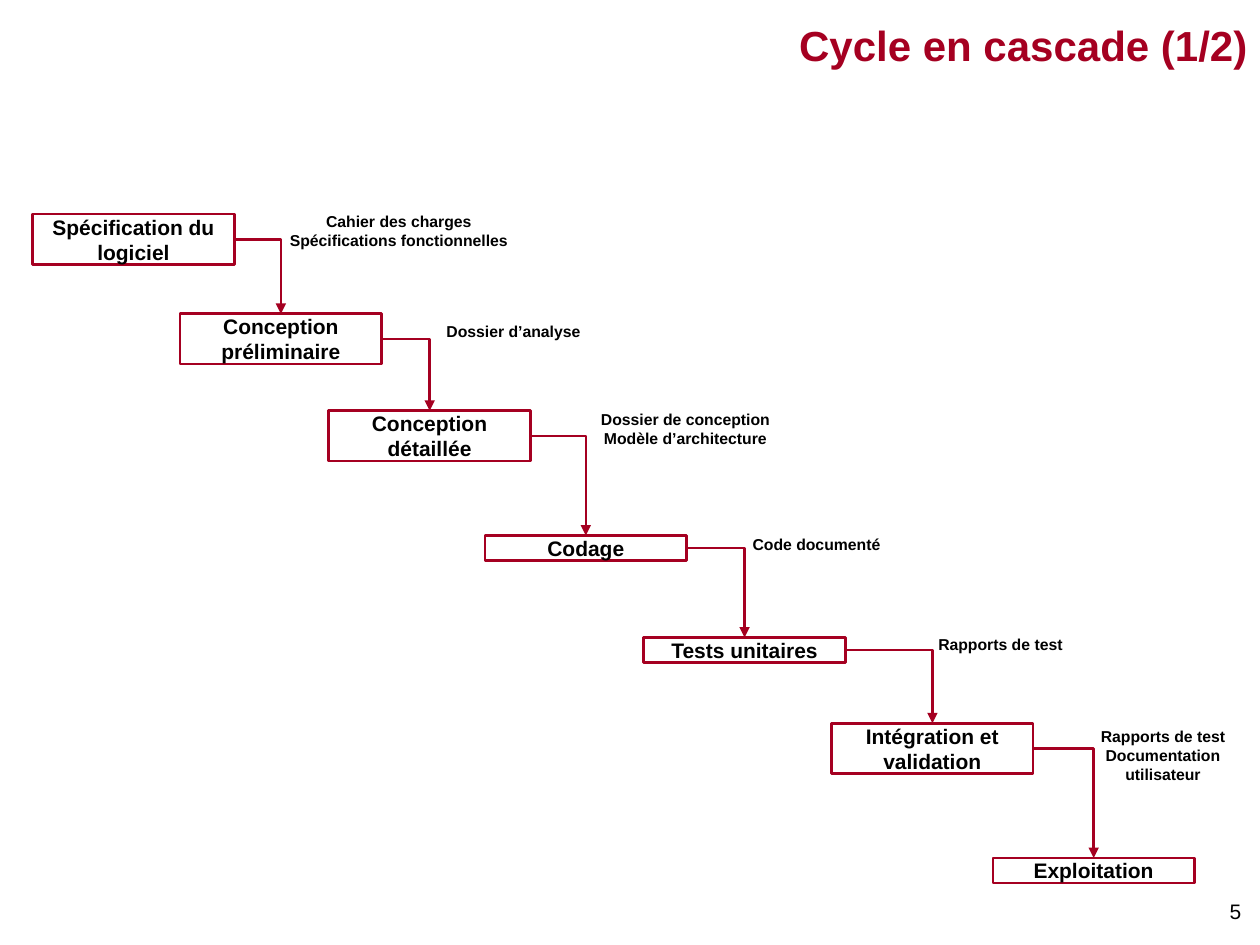
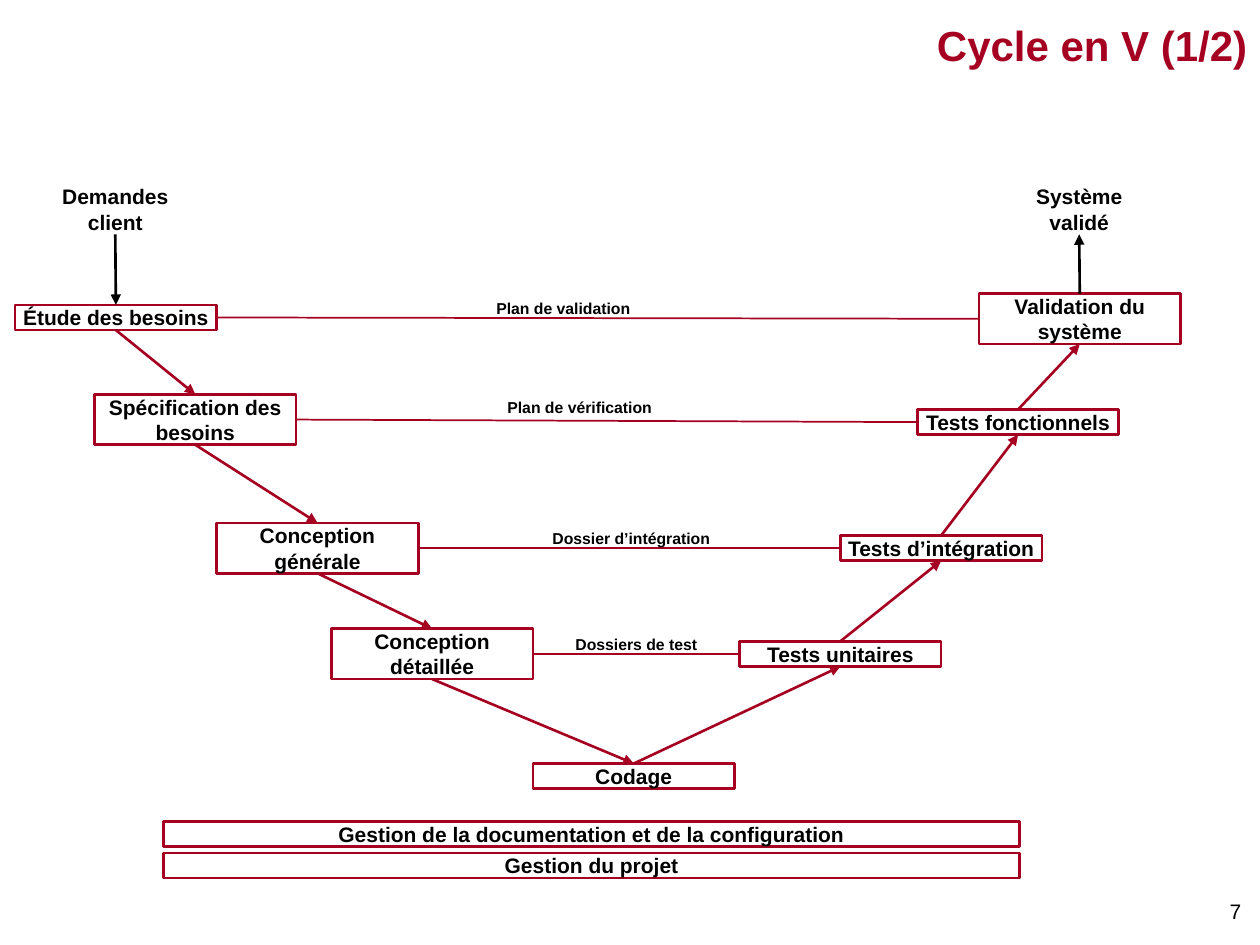
from dataclasses import dataclass
from itertools import pairwise

from lxml.etree import SubElement
from pptx import Presentation
from pptx.dml.color import RGBColor
from pptx.enum.shapes import MSO_CONNECTOR as CXN, MSO_SHAPE as SHAPE
from pptx.enum.text import MSO_ANCHOR as ANCHOR, MSO_AUTO_SIZE as AUTO, PP_ALIGN as ALIGN
from pptx.oxml.ns import qn
from pptx.util import Emu, Pt

PX = 9144
TOP, LEFT, BOTTOM, RIGHT = range(4)


@dataclass(frozen=True)
class Theme:
    font: str = "Arial"
    accent: RGBColor = RGBColor(0xA5, 0x00, 0x21)
    ink: RGBColor = RGBColor(0, 0, 0)
    title: int = 24
    body: int = 12
    label: int = 9
    heavy: float = 1.5
    thin: float = 1


@dataclass(frozen=True)
class Box:
    text: str
    x: int
    y: int
    lines: int = 1
    w: int = 160

    @property
    def h(self) -> int:
        return 20 * self.lines


@dataclass(frozen=True)
class Label:
    text: str
    x: int
    y: int
    w: int = 156

    @property
    def h(self) -> int:
        return 15 * len(self.text.split("\n"))


THEME = Theme()

CASCADE = [
    Box("Spécification du logiciel", 26, 170, 2),
    Box("Conception préliminaire", 143, 249, 2),
    Box("Conception détaillée", 261, 326, 2),
    Box("Codage", 385, 425),
    Box("Tests unitaires", 511, 506),
    Box("Intégration et validation", 660, 574, 2),
    Box("Exploitation", 788, 681),
]
DELIVERABLES = [
    Label("Cahier des charges\nSpécifications fonctionnelles", 213, 168, 207),
    Label("Dossier d’analyse", 304, 255, 207),
    Label("Dossier de conception\nModèle d’architecture", 441, 325, 206),
    Label("Code documenté", 570, 424),
    Label("Rapports de test", 716, 504),
    Label("Rapports de test\nDocumentation\nutilisateur", 845, 577),
]

DESCENT = [
    Box("Étude des besoins", 12, 242),
    Box("Spécification des besoins", 75, 313, 2),
    Box("Conception générale", 172, 415, 2),
    Box("Conception détaillée", 263, 499, 2),
]
CODING = Box("Codage", 423, 606)
ASCENT = [
    Box("Tests unitaires", 587, 509),
    Box("Tests d’intégration", 667, 425),
    Box("Tests fonctionnels", 728, 325),
    Box("Validation du système", 777, 233, 2),
]
PLANS = [
    Label("Plan de validation", 369, 237),
    Label("Plan de vérification", 382, 316),
    Label("Dossier d’intégration", 423, 420),
    Label("Dossiers de test", 427, 504),
]
CLIENT_REQUEST = Box("Demandes client", 32, 146, 2, 119)
VALIDATED_SYSTEM = Box("Système validé", 797, 146, 2, 119)
SUPPORT = [
    Box("Gestion de la documentation et de la configuration", 130, 652, w=679),
    Box("Gestion du projet", 130, 677, w=679),
]


def px(*values: int) -> list[Emu]:
    return [Emu(v * PX) for v in values]


def apply(target, formats: dict) -> None:
    for name, value in formats.items():
        setattr(target, name, value)


def write(s, text: str, size: int, color=THEME.ink, bold=True,
          align=ALIGN.CENTER, margins=(0, 0)) -> None:
    tf = s.text_frame
    tf.text = text
    mx, my = px(*margins)
    apply(tf, {"word_wrap": True, "auto_size": AUTO.NONE,
               "vertical_anchor": ANCHOR.MIDDLE,
               "margin_left": mx, "margin_right": mx,
               "margin_top": my, "margin_bottom": my})
    for p in tf.paragraphs:
        p.alignment = align
        for r in p.runs:
            apply(r.font, {"name": THEME.font, "size": Pt(size), "bold": bold})
            r.font.color.rgb = color


def add_text(slide, item: Box | Label, size: int):
    s = slide.shapes.add_textbox(*px(item.x, item.y, item.w, item.h))
    write(s, item.text, size)
    return s


def add_box(slide, box: Box):
    s = slide.shapes.add_shape(SHAPE.RECTANGLE, *px(box.x, box.y, box.w, box.h))
    s.shadow.inherit = False
    s.fill.background()
    s.line.color.rgb = THEME.accent
    s.line.width = Pt(THEME.heavy)
    write(s, box.text, THEME.body)
    return s


def site(s, side: int) -> tuple[int, int]:
    mid_x, mid_y = s.left + s.width // 2, s.top + s.height // 2
    return {TOP: (mid_x, s.top), LEFT: (s.left, mid_y),
            BOTTOM: (mid_x, s.top + s.height), RIGHT: (s.left + s.width, mid_y)}[side]


def connect(slide, start, start_side: int, end, end_side: int, color=THEME.accent,
            width=THEME.heavy, arrow=True, bent=False) -> None:
    kind = CXN.ELBOW if bent else CXN.STRAIGHT
    c = slide.shapes.add_connector(kind, *site(start, start_side), *site(end, end_side))
    c.begin_connect(start, start_side)
    c.end_connect(end, end_side)
    c.line.color.rgb = color
    c.line.width = Pt(width)
    sp_pr = c._element.spPr
    if bent:
        sp_pr.find(qn("a:prstGeom")).set("prst", "bentConnector2")
    if arrow:
        SubElement(sp_pr.find(qn("a:ln")), qn("a:tailEnd"), type="triangle")
    SubElement(sp_pr, qn("a:effectLst"))


def add_slide(prs, title: str, number: int):
    slide = prs.slides.add_slide(prs.slide_layouts[5])
    s = slide.shapes.title
    apply(s, dict(zip(("left", "top", "width", "height"), px(235, 0, 765, 71))))
    write(s, title, THEME.title, THEME.accent, align=ALIGN.RIGHT, margins=(10, 5))
    page = slide.shapes.add_textbox(*px(899, 708, 96, 30))
    write(page, str(number), THEME.body, bold=False, align=ALIGN.RIGHT, margins=(10, 5))
    return slide


def build_cascade(prs) -> None:
    slide = add_slide(prs, "Cycle en cascade (1/2)", 5)
    steps = [add_box(slide, box) for box in CASCADE]
    for step, following in pairwise(steps):
        connect(slide, step, RIGHT, following, TOP, bent=True)
    for label in DELIVERABLES:
        add_text(slide, label, THEME.label)


def build_v_cycle(prs) -> None:
    slide = add_slide(prs, "Cycle en V (1/2)", 7)
    descent = [add_box(slide, box) for box in DESCENT]
    coding = add_box(slide, CODING)
    ascent = [add_box(slide, box) for box in ASCENT]

    for upper, lower in pairwise([*descent, coding]):
        connect(slide, upper, BOTTOM, lower, TOP)
    for lower, upper in pairwise([coding, *ascent]):
        connect(slide, lower, TOP, upper, BOTTOM)
    for design, test in zip(descent, reversed(ascent)):
        connect(slide, design, RIGHT, test, LEFT, width=THEME.thin, arrow=False)

    for label in PLANS:
        add_text(slide, label, THEME.label)
    for box in SUPPORT:
        add_box(slide, box)

    request = add_text(slide, CLIENT_REQUEST, THEME.body)
    result = add_text(slide, VALIDATED_SYSTEM, THEME.body)
    connect(slide, request, BOTTOM, descent[0], TOP, color=THEME.ink)
    connect(slide, ascent[-1], TOP, result, BOTTOM, color=THEME.ink)


def main() -> None:
    prs = Presentation()
    prs.slide_width, prs.slide_height = px(1000, 750)
    build_cascade(prs)
    build_v_cycle(prs)
    prs.save("out.pptx")


if __name__ == "__main__":
    main()
